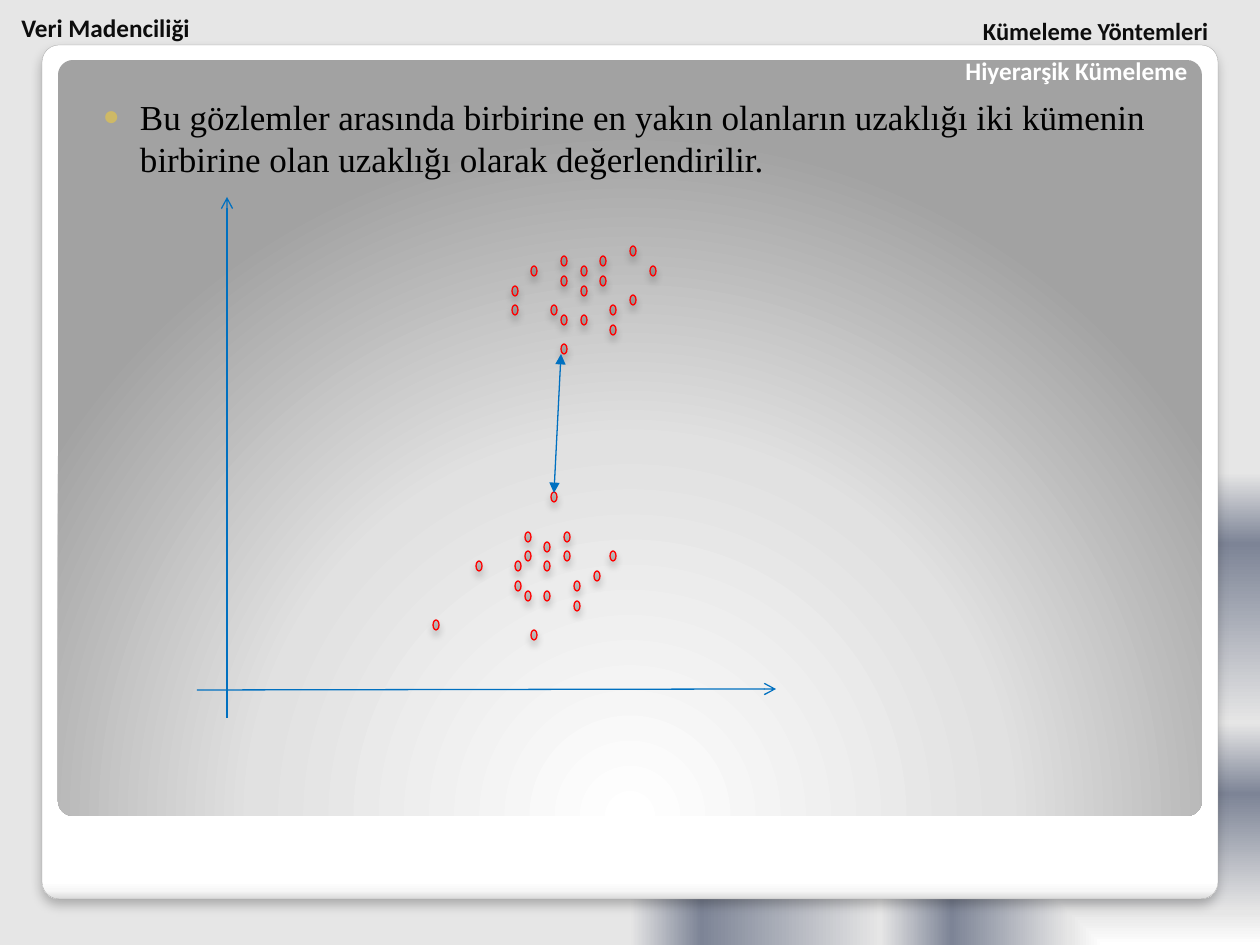
from lxml import etree
from pptx import Presentation
from pptx import util as u
from pptx.dml.color import RGBColor
from pptx.enum import shapes, text
from pptx.oxml.ns import qn

PX = 914400 / 126
BLACK = RGBColor(0x00, 0x00, 0x00)
HEADING = RGBColor(0x0D, 0x0D, 0x0D)
WHITE = RGBColor(0xFF, 0xFF, 0xFF)
FRAME_EDGE = RGBColor(0xA4, 0xA4, 0xA4)
BULLET = RGBColor(0xCE, 0xB9, 0x66)
AXIS = RGBColor(0x00, 0x70, 0xC0)
DOT_EDGE = RGBColor(0xFF, 0x00, 0x00)


def set_gradient(grad, stops, path=None, focus=None):
    """Rewrite a gradient: stops in percent, then a path with its focus or a 90 degree line."""
    for child in list(grad):
        grad.remove(child)
    stop_list = etree.SubElement(grad, qn("a:gsLst"))
    for position, color in stops:
        stop = etree.SubElement(stop_list, qn("a:gs"), pos=str(position * 1000))
        etree.SubElement(stop, qn("a:srgbClr"), val=color)
    if path:
        shade = etree.SubElement(grad, qn("a:path"), path=path)
        sides = {side: str(value * 1000) for side, value in zip("ltrb", focus)}
        etree.SubElement(shade, qn("a:fillToRect"), **sides)
    else:
        etree.SubElement(grad, qn("a:lin"), ang="5400000", scaled="0")


def add_shadow(shape, alpha, blur, distance):
    """Black shadow falling straight down; blur and distance in points."""
    shape.shadow.inherit = False
    effects = shape.element.spPr.find(qn("a:effectLst"))
    outer = etree.SubElement(effects, qn("a:outerShdw"), blurRad=str(blur * 12700),
                             dist=str(distance * 12700), dir="5400000", rotWithShape="0")
    color = etree.SubElement(outer, qn("a:srgbClr"), val=str(BLACK))
    etree.SubElement(color, qn("a:alpha"), val=str(alpha * 1000))


prs = Presentation()
prs.slide_width, prs.slide_height = u.Inches(10), u.Inches(7.5)
slide = prs.slides.add_slide(prs.slide_layouts[1])
title, body = slide.placeholders
title.element.getparent().remove(title.element)

# Background
slide.background.fill.gradient()
set_gradient(slide.element.find(".//" + qn("a:gradFill")),
             [(0, "FFFFFF"), (7, "E6E6E6"), (32, "7D8496"), (47, "E6E6E6"),
              (85, "7D8496"), (100, "E6E6E6")], "rect", (100, 100, 0, 0))

# White frame and grey panel
panels = [
    ((42, 45, 1176, 854), [(0, "FFFFFF"), (98, "FFFFFF"), (99, "F7F7F7"), (100, "DADADA")], None, None),
    ((58, 60, 1144, 756), [(0, "FFFFFF"), (55, "E1E1E1"), (100, "A2A2A2")], "circle", (50, 175, 50, -75)),
]
for box, stops, path, focus in panels:
    panel = slide.shapes.add_shape(shapes.MSO_SHAPE.ROUNDED_RECTANGLE, *[int(v * PX) for v in box])
    panel.adjustments[0] = 0.02
    panel.fill.gradient()
    set_gradient(panel.element.spPr.find(qn("a:gradFill")), stops, path, focus)
    if path:
        panel.shadow.inherit = False
        panel.line.fill.background()
    else:
        add_shadow(panel, 25, 6, 4)
        panel.line.color.rgb = FRAME_EDGE
        panel.line.width = u.Pt(0.16)

# Body text, brought in front of the panels
body.element.getparent().append(body.element)
body.left, body.top, body.width, body.height = [int(v * PX) for v in (78, 78, 1128, 748)]
frame = body.text_frame
frame.auto_size = text.MSO_AUTO_SIZE.NONE
frame.margin_left, frame.margin_top, frame.margin_right, frame.margin_bottom = [
    int(v * PX) for v in (25, 17, 13, 6)]
statement = frame.paragraphs[0]
props = statement._p.get_or_add_pPr()
props.set("marL", str(int(37 * PX)))
props.set("indent", str(int(-37 * PX)))
bullet_color = etree.SubElement(props, qn("a:buClr"))
etree.SubElement(bullet_color, qn("a:srgbClr"), val=str(BULLET))
etree.SubElement(props, qn("a:buSzPct"), val="80000")
etree.SubElement(props, qn("a:buChar"), char="●")
statement.space_before = u.Pt(0)
run = statement.add_run()
run.text = ("Bu gözlemler arasında birbirine en yakın olanların uzaklığı "
            "iki kümenin birbirine olan uzaklığı olarak değerlendirilir.")
run.font.size, run.font.name = u.Pt(20), "Times New Roman"
run.font.color.rgb = BLACK

# Headings
LEFT, RIGHT = text.PP_ALIGN.LEFT, text.PP_ALIGN.RIGHT
BOTTOM, MIDDLE = text.MSO_ANCHOR.BOTTOM, text.MSO_ANCHOR.MIDDLE
headings = [
    ("Veri Madenciliği", (9, 10, 1128, 39), 14.4, HEADING, LEFT, BOTTOM),
    ("Kümeleme Yöntemleri", (808, 9, 413, 43), 14, HEADING, RIGHT, MIDDLE),
    ("Hiyerarşik Kümeleme", (72, 53, 1128, 39), 14.4, WHITE, RIGHT, BOTTOM),
]
for words, box, size, color, align, anchor in headings:
    frame = slide.shapes.add_textbox(*[int(v * PX) for v in box]).text_frame
    frame.word_wrap = True
    frame.vertical_anchor = anchor
    frame.paragraphs[0].alignment = align
    run = frame.paragraphs[0].add_run()
    run.text = words
    run.font.size, run.font.name, run.font.bold = u.Pt(size), "Calibri", True
    run.font.color.rgb = color

# Observations of the two clusters: left and top of each dot
upper_cluster = [
    (561, 276), (581, 286), (551, 305), (512, 305), (630, 246), (581, 315),
    (561, 344), (610, 325), (630, 295), (600, 276), (561, 256), (581, 266),
    (531, 266), (512, 286), (650, 266), (561, 315), (610, 305), (600, 256),
]
lower_cluster = [
    (525, 551), (544, 561), (515, 581), (433, 620), (551, 492), (544, 591),
    (531, 630), (574, 601), (594, 571), (564, 551), (525, 532), (544, 542),
    (515, 561), (476, 561), (610, 551), (525, 591), (574, 581), (564, 532),
]
for left, top in upper_cluster + lower_cluster:
    dot = slide.shapes.add_shape(shapes.MSO_SHAPE.OVAL, *[int(v * PX) for v in (left, top, 6, 10)])
    dot.fill.solid()
    dot.fill.fore_color.rgb = BLACK
    etree.SubElement(dot.element.spPr.find(".//" + qn("a:srgbClr")), qn("a:alpha"), val="17000")
    dot.line.color.rgb = DOT_EDGE
    dot.line.width = u.Pt(0.75)
    add_shadow(dot, 35, 4, 3)

# Axes and the distance between the nearest observations
arrows = [
    ((227, 718, 227, 197), {"tailEnd": "arrow"}),
    ((197, 690, 776, 689), {"tailEnd": "arrow"}),
    ((554, 493, 561, 354), {"headEnd": "triangle", "tailEnd": "triangle"}),
]
for ends, heads in arrows:
    arrow = slide.shapes.add_connector(shapes.MSO_CONNECTOR.STRAIGHT, *[int(v * PX) for v in ends])
    arrow.line.color.rgb = AXIS
    arrow.line.width = u.Pt(0.75)
    outline = arrow.element.spPr.find(qn("a:ln"))
    for end, style in heads.items():
        etree.SubElement(outline, qn("a:" + end), type=style)
    etree.SubElement(arrow.element.spPr, qn("a:effectLst"))

prs.save("out.pptx")
